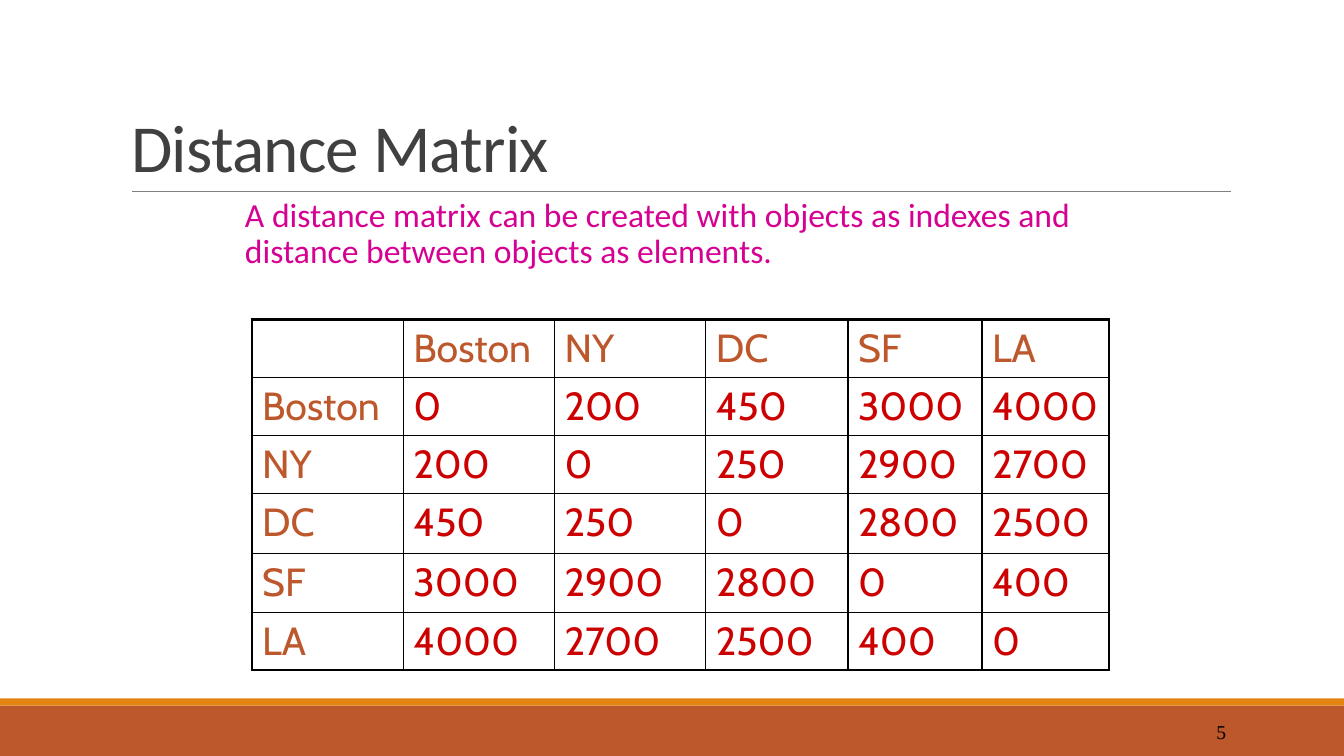
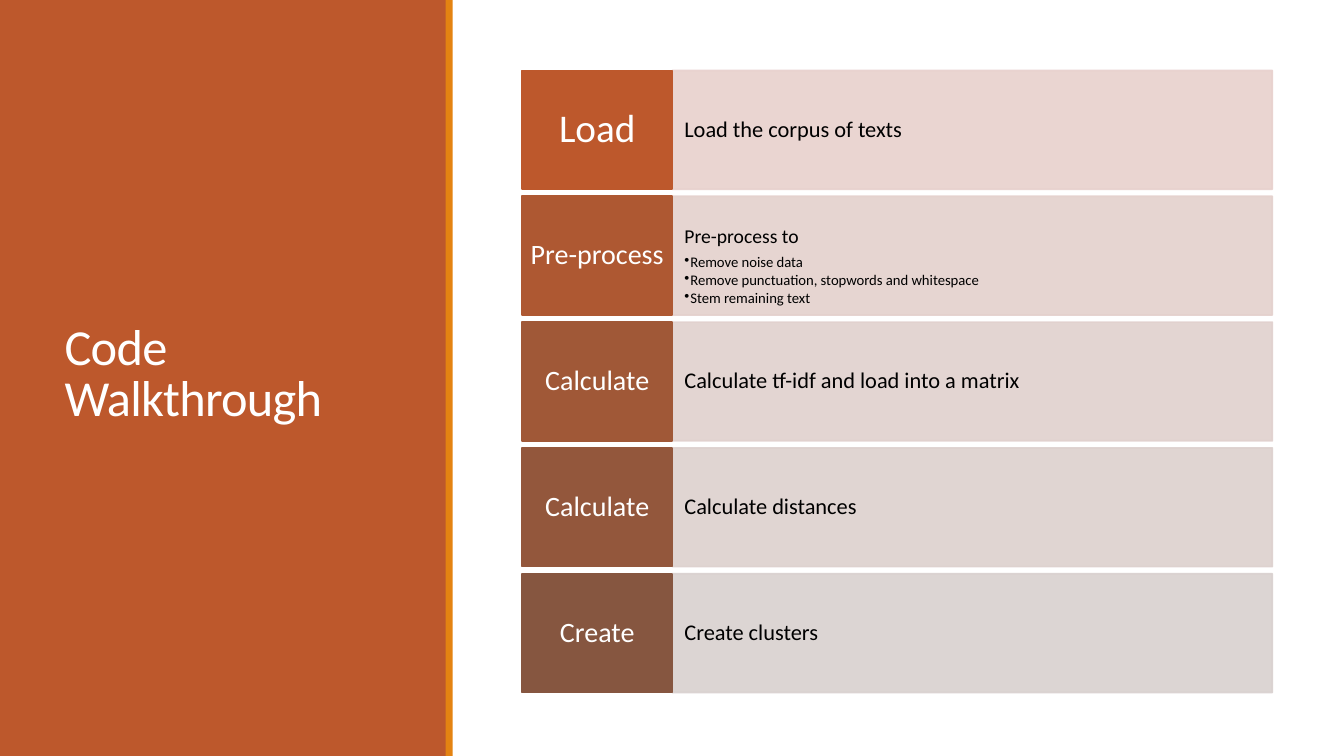
import pptx
import pptx.dml.color
import pptx.enum.shapes
import pptx.enum.text
import pptx.oxml
import pptx.oxml.ns
import pptx.util

Inches = pptx.util.Inches
Pt = pptx.util.Pt
ALIGN = pptx.enum.text.PP_ALIGN
ANCHOR = pptx.enum.text.MSO_ANCHOR
qn = pptx.oxml.ns.qn

COLORS = {
    "rust": "BD582C", "orange": "E48312", "rule": "808080", "title": "404040",
    "magenta": "D60093", "red": "CC0000", "black": "000000", "white": "FFFFFF",
}
FONT = "Calibri"
SLIDE_WIDTH, SLIDE_HEIGHT = 13.33, 7.5
STRIP = 0.07

CITIES = ["Boston", "NY", "DC", "SF", "LA"]
DISTANCES = [
    [0, 200, 450, 3000, 4000],
    [200, 0, 250, 2900, 2700],
    [450, 250, 0, 2800, 2500],
    [3000, 2900, 2800, 0, 400],
    [4000, 2700, 2500, 400, 0],
]
COLUMN_WIDTHS = [1.5, 1.5, 1.5, 1.41, 1.33, 1.26]
ROW_HEIGHTS = [0.56, 0.58, 0.57, 0.6, 0.58, 0.57]

# label, label size, label fill, detail fill, heading, bullets
STEPS = [
    ("Load", 28, "BD582C", "E8D1CD", "Load the corpus of texts", []),
    ("Pre-process", 20, "AE5832", "E4D1CD", "Pre-process to",
     ["Remove noise data", "Remove punctuation, stopwords and whitespace",
      "Stem remaining text"]),
    ("Calculate", 20, "A05837", "E1D1CE", "Calculate tf-idf and load into a matrix", []),
    ("Calculate", 20, "93573C", "DDD1CE", "Calculate distances", []),
    ("Create", 20, "865640", "D9D1CF", "Create clusters", []),
]


def rgb(color):
    """Turn a hex string into a colour."""
    return pptx.dml.color.RGBColor.from_string(color)


def place(shape, box):
    """Move a shape to a box of left, top, width, height in inches."""
    shape.left, shape.top, shape.width, shape.height = map(Inches, box)


def add_run(paragraph, text, size, color, font=FONT, spacing=None):
    """Add one formatted run; spacing is in hundredths of a point."""
    run = paragraph.add_run()
    run.text = text
    run.font.size = Pt(size)
    run.font.name = font
    run.font.color.rgb = rgb(color)
    if spacing is not None:
        run.font._element.set("spc", str(spacing))


def set_frame(frame, anchor, horizontal=0.1, vertical=0.05):
    """Set wrapping, anchor and insets of a text frame."""
    frame.auto_size = pptx.enum.text.MSO_AUTO_SIZE.NONE
    frame.word_wrap = True
    frame.vertical_anchor = anchor
    frame.margin_left = frame.margin_right = Inches(horizontal)
    frame.margin_top = frame.margin_bottom = Inches(vertical)


def set_paragraph(paragraph, align=ALIGN.LEFT, line=0.9, before=0, after=0):
    """Set alignment and spacing of a paragraph."""
    paragraph.alignment = align
    paragraph.line_spacing = line
    paragraph.space_before, paragraph.space_after = Pt(before), Pt(after)


def set_bullet(paragraph, margin, indent, character=None):
    """Set the indents in inches and the bullet, or no bullet."""
    properties = paragraph._p.get_or_add_pPr()
    properties.set("marL", str(Inches(margin)))
    properties.set("indent", str(Inches(indent)))
    bullet = properties.makeelement(qn("a:buChar" if character else "a:buNone"), {})
    if character:
        bullet.set("char", character)
    properties.append(bullet)


def add_rectangle(slide, box, fill, line_width=None, opacity=None):
    """Add a plain rectangle with an outline of its own colour if it has a width."""
    shape = slide.shapes.add_shape(
        pptx.enum.shapes.MSO_SHAPE.RECTANGLE, *map(Inches, box))
    shape.shadow.inherit = False
    shape.fill.solid()
    shape.fill.fore_color.rgb = rgb(fill)
    if line_width is None:
        shape.line.fill.background()
    else:
        shape.line.color.rgb = rgb(fill)
        shape.line.width = Pt(line_width)
    if opacity is not None:
        for color in shape._element.spPr.iter(qn("a:srgbClr")):
            alpha = color.makeelement(qn("a:alpha"), {"val": str(opacity * 1000)})
            color.append(alpha)
    return shape


def set_title(slide, box, text, size, color, anchor):
    """Fill the title placeholder in the shared title style."""
    title = slide.shapes.title
    place(title, box)
    set_frame(title.text_frame, anchor)
    paragraph = title.text_frame.paragraphs[0]
    set_paragraph(paragraph, line=0.85)
    add_run(paragraph, text, size, color, spacing=-50)


def add_band(slide, box, strip_box):
    """Add a rust band with its orange strip, behind the placeholders."""
    band = add_rectangle(slide, box, COLORS["rust"])
    strip = add_rectangle(slide, strip_box, COLORS["orange"])
    first_shape = slide.shapes.title._element
    for shape in (band, strip):
        first_shape.addprevious(shape._element)


def add_title_rule(slide, left, top, width):
    """Add the thin line under the title."""
    rule = slide.shapes.add_connector(
        pptx.enum.shapes.MSO_CONNECTOR.STRAIGHT,
        *map(Inches, (left, top, left + width, top)))
    rule.line.color.rgb = rgb(COLORS["rule"])
    rule.line.width = Pt(0.5)
    properties = rule._element.spPr
    properties.append(properties.makeelement(qn("a:effectLst"), {}))


def add_page_number(slide, box, number):
    """Add the page number in the footer band."""
    text_box = slide.shapes.add_textbox(*map(Inches, box))
    set_frame(text_box.text_frame, ANCHOR.MIDDLE)
    paragraph = text_box.text_frame.paragraphs[0]
    set_paragraph(paragraph, ALIGN.RIGHT, line=1.0)
    add_run(paragraph, str(number), 14, COLORS["black"], "Times New Roman")


def set_intro(slide, box, text):
    """Fill the body placeholder with an unbulleted paragraph."""
    body = slide.placeholders[1]
    place(body, box)
    set_frame(body.text_frame, ANCHOR.TOP, horizontal=0)
    paragraph = body.text_frame.paragraphs[0]
    set_paragraph(paragraph, before=12, after=2)
    set_bullet(paragraph, 0.1, 0)
    add_run(paragraph, text, 24, COLORS["magenta"])


def set_borders(cell, widths):
    """Draw black cell borders; widths are points by side L, R, T, B."""
    properties = cell._tc.get_or_add_tcPr()
    for side, width in widths.items():
        properties.append(pptx.oxml.parse_xml(
            f'<a:ln{side} {pptx.oxml.ns.nsdecls("a")} w="{Pt(width)}"><a:solidFill>'
            f'<a:srgbClr val="{COLORS["black"]}"/></a:solidFill></a:ln{side}>'))


def add_distance_table(slide, box):
    """Add the distances with a heavy outer border and thin inner ones."""
    cells = [[""] + CITIES]
    cells += [[city] + row for city, row in zip(CITIES, DISTANCES)]
    last = len(CITIES)
    table = slide.shapes.add_table(last + 1, last + 1, *map(Inches, box)).table
    table.first_row = table.horz_banding = False
    for column, width in zip(table.columns, COLUMN_WIDTHS):
        column.width = Inches(width)
    for row, height in zip(table.rows, ROW_HEIGHTS):
        row.height = Inches(height)
    for row_index, values in enumerate(cells):
        for column_index, value in enumerate(values):
            cell = table.cell(row_index, column_index)
            edges = {"L": column_index == 0, "R": column_index == last,
                     "T": row_index == 0, "B": row_index == last}
            set_borders(cell, {side: 2.25 if outer else 1
                               for side, outer in edges.items()})
            cell.fill.background()
            if value == "":
                continue
            header = row_index == 0 or column_index == 0
            add_run(cell.text_frame.paragraphs[0], str(value), 28,
                    COLORS["rust" if header else "red"], "Cabin")


def add_step(slide, box, step):
    """Add one step: a label on the left fifth and its detail beside it."""
    label, label_size, label_fill, detail_fill, heading, bullets = step
    left, top, width, height = box
    label_width = width / 5

    detail = add_rectangle(
        slide, (left + label_width, top, width - label_width, height),
        detail_fill, 1.25, 90)
    frame = detail.text_frame
    set_frame(frame, ANCHOR.TOP if bullets else ANCHOR.MIDDLE, 0.12, 0.3)
    size = 14 if bullets else 16
    set_paragraph(frame.paragraphs[0], after=0.35 * size)
    add_run(frame.paragraphs[0], heading, size, COLORS["black"])
    for bullet in bullets:
        paragraph = frame.add_paragraph()
        paragraph.level = 1
        set_paragraph(paragraph, after=1.58)
        set_bullet(paragraph, 0.06, -0.06, "•")
        add_run(paragraph, bullet, 10.5, COLORS["black"])

    tile = add_rectangle(slide, (left, top, label_width, height), label_fill, 1.25)
    set_frame(tile.text_frame, ANCHOR.MIDDLE, 0.08, 0.12)
    set_paragraph(tile.text_frame.paragraphs[0], ALIGN.CENTER)
    add_run(tile.text_frame.paragraphs[0], label, label_size, COLORS["white"])


def add_steps(slide, box, gap=0.07):
    """Stack the steps in equal rows."""
    left, top, width, height = box
    row_height = (height - gap * (len(STEPS) - 1)) / len(STEPS)
    for index, step in enumerate(STEPS):
        row_top = top + index * (row_height + gap)
        add_step(slide, (left, row_top, width, row_height), step)


def build_matrix_slide(presentation):
    """Build the slide with the distance table."""
    slide = presentation.slides.add_slide(presentation.slide_layouts[1])
    add_band(slide, (0, 7, SLIDE_WIDTH, 0.5), (0, 7 - STRIP, SLIDE_WIDTH, STRIP))
    add_title_rule(slide, 1.31, 1.9, 10.9)
    set_title(slide, (1.2, 0.31, 11, 1.59), "Distance Matrix", 48,
              COLORS["title"], ANCHOR.BOTTOM)
    set_intro(slide, (2.33, 1.92, 8.5, 1.2),
              "A distance matrix can be created with objects as indexes and "
              "distance between objects as elements.")
    add_page_number(slide, (10.83, 7.06, 1.43, 0.4), 5)
    add_distance_table(slide, (2.5, 3.17, 8.5, 3.46))


def build_walkthrough_slide(presentation):
    """Build the slide with the side panel and the steps."""
    slide = presentation.slides.add_slide(presentation.slide_layouts[5])
    add_band(slide, (0, 0, 4.43, SLIDE_HEIGHT), (4.42, 0, STRIP, SLIDE_HEIGHT))
    set_title(slide, (0.54, 0.57, 3.37, 6.31), "Code Walkthrough", 36,
              COLORS["white"], ANCHOR.MIDDLE)
    add_steps(slide, (5.18, 0.7, 7.44, 6.17))


def main():
    """Build and save the presentation."""
    presentation = pptx.Presentation()
    presentation.slide_width = Inches(SLIDE_WIDTH)
    presentation.slide_height = Inches(SLIDE_HEIGHT)
    build_matrix_slide(presentation)
    build_walkthrough_slide(presentation)
    presentation.save("out.pptx")


main()
